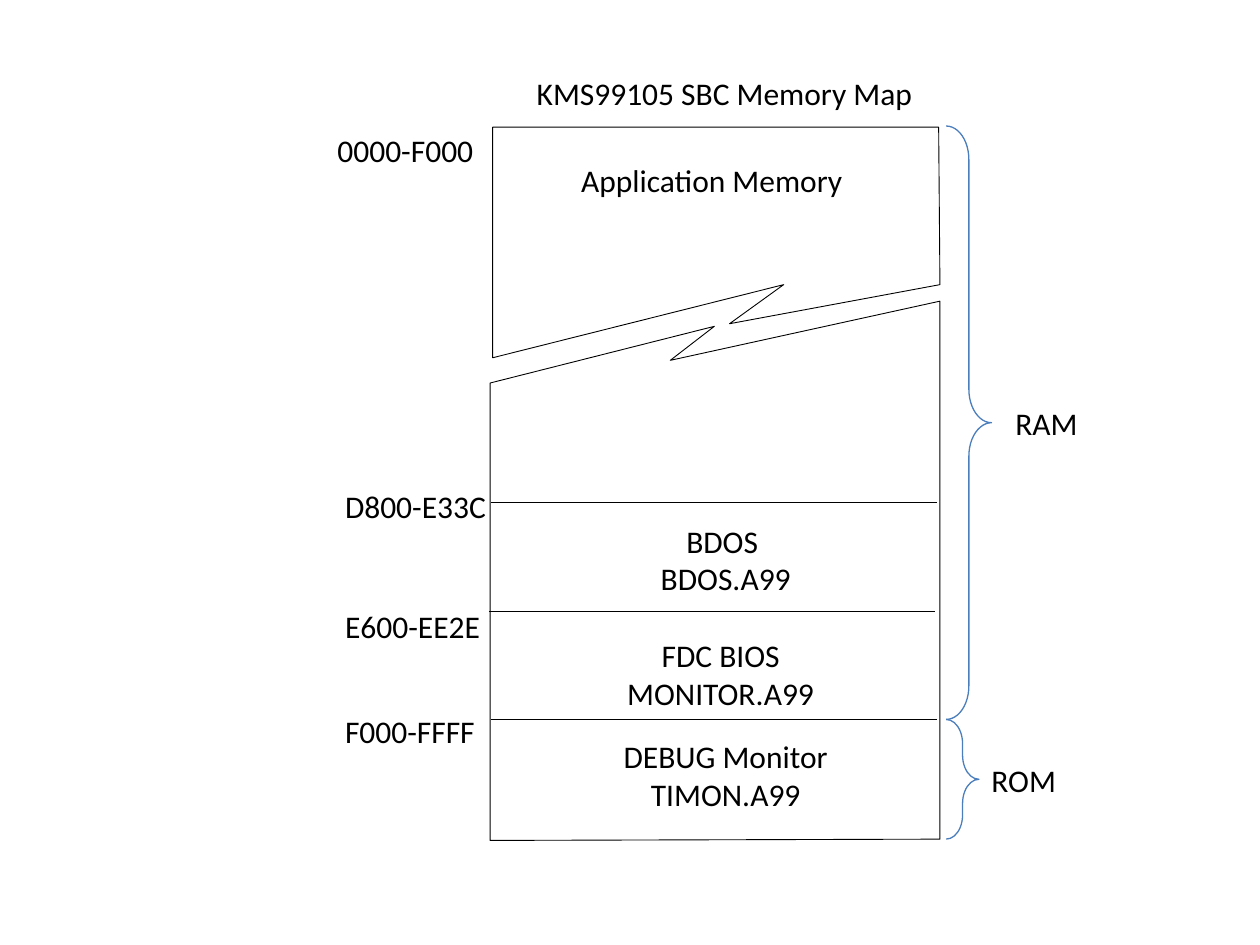
from dataclasses import dataclass

from pptx import Presentation
from pptx.dml.color import RGBColor
from pptx.enum.shapes import MSO_CONNECTOR, MSO_SHAPE
from pptx.enum.text import MSO_ANCHOR, MSO_AUTO_SIZE, PP_ALIGN
from pptx.oxml.ns import qn
from pptx.util import Emu, Pt
from lxml.etree import SubElement

PX = 9144


def px(length):
    return Emu(length * PX)


@dataclass(frozen=True)
class Theme:
    font: str = "Calibri"
    text_size: int = 18
    ink: RGBColor = RGBColor(0, 0, 0)
    paper: RGBColor = RGBColor(255, 255, 255)
    accent: RGBColor = RGBColor(0x4B, 0x7E, 0xBC)
    outline: float = 0.5
    brace_outline: float = 0.75


class MemoryMap:
    def __init__(self, slide, theme):
        self.slide = slide
        self.theme = theme

    def set_text(self, shape, lines, align):
        frame = shape.text_frame
        frame.text = "\n".join(lines)
        frame.word_wrap = False
        frame.auto_size = MSO_AUTO_SIZE.SHAPE_TO_FIT_TEXT
        frame.vertical_anchor = MSO_ANCHOR.TOP
        for paragraph in frame.paragraphs:
            paragraph.alignment = align
            paragraph.font.name = self.theme.font
            paragraph.font.size = Pt(self.theme.text_size)
            paragraph.font.color.rgb = self.theme.ink

    def title(self, left, top, width, height, text):
        shape = self.slide.shapes.title
        shape.left, shape.top = px(left), px(top)
        shape.width, shape.height = px(width), px(height)
        self.set_text(shape, [text], PP_ALIGN.LEFT)

    def text(self, left, top, width, height, *lines, align=PP_ALIGN.LEFT):
        shape = self.slide.shapes.add_textbox(px(left), px(top), px(width), px(height))
        self.set_text(shape, lines, align)

    def block(self, *points):
        builder = self.slide.shapes.build_freeform(*points[0], scale=PX)
        builder.add_line_segments(points[1:], close=True)
        shape = builder.convert_to_shape()
        shape.shadow.inherit = False
        shape.fill.solid()
        shape.fill.fore_color.rgb = self.theme.paper
        shape.line.color.rgb = self.theme.ink
        shape.line.width = Pt(self.theme.outline)

    def divider(self, left, top, width):
        connector = self.slide.shapes.add_connector(
            MSO_CONNECTOR.STRAIGHT, px(left), px(top), px(left + width), px(top))
        connector.line.color.rgb = self.theme.ink
        connector.line.width = Pt(self.theme.outline)
        SubElement(connector._element.spPr, qn("a:effectLst"))

    def brace(self, left, top, width, height):
        shape = self.slide.shapes.add_shape(
            MSO_SHAPE.RIGHT_BRACE, px(left), px(top), px(width), px(height))
        shape.adjustments[0] = 0.74
        shape.adjustments[1] = 0.5
        shape.shadow.inherit = False
        shape.fill.background()
        shape.line.color.rgb = self.theme.accent
        shape.line.width = Pt(self.theme.brace_outline)


def main():
    presentation = Presentation()
    presentation.slide_width, presentation.slide_height = px(1000), px(750)
    slide = presentation.slides.add_slide(presentation.slide_layouts[5])
    memory_map = MemoryMap(slide, Theme())

    memory_map.title(416, 54, 321, 40, "KMS99105 SBC Memory Map")
    memory_map.block((391, 101), (745, 101), (746, 226), (579, 257), (622, 226), (391, 284))
    memory_map.block((389, 304), (567, 259), (532, 286), (746, 239), (746, 666), (389, 667))

    for left, top in ((390, 399), (388, 485), (390, 571)):
        memory_map.divider(left, top, 354)

    for left, top, width, address in (
        (258, 99, 129, "0000-F000"),
        (264, 382, 133, "D800-E33C"),
        (264, 477, 128, "E600-EE2E"),
        (264, 560, 124, "F000-FFFF"),
    ):
        memory_map.text(left, top, width, 40, address)

    for left, top, width, height, *lines in (
        (450, 123, 230, 40, "Application Memory"),
        (514, 409, 124, 71, "BDOS ", "BDOS.A99"),
        (487, 500, 170, 71, "FDC BIOS", "MONITOR.A99"),
        (484, 580, 184, 71, "DEBUG Monitor", "TIMON.A99"),
    ):
        memory_map.text(left, top, width, height, *lines, align=PP_ALIGN.CENTER)

    memory_map.brace(751, 100, 36, 471)
    memory_map.text(796, 316, 70, 40, "RAM")
    memory_map.brace(751, 571, 26, 95)
    memory_map.text(777, 599, 72, 40, "ROM")

    presentation.save("out.pptx")


if __name__ == "__main__":
    main()
